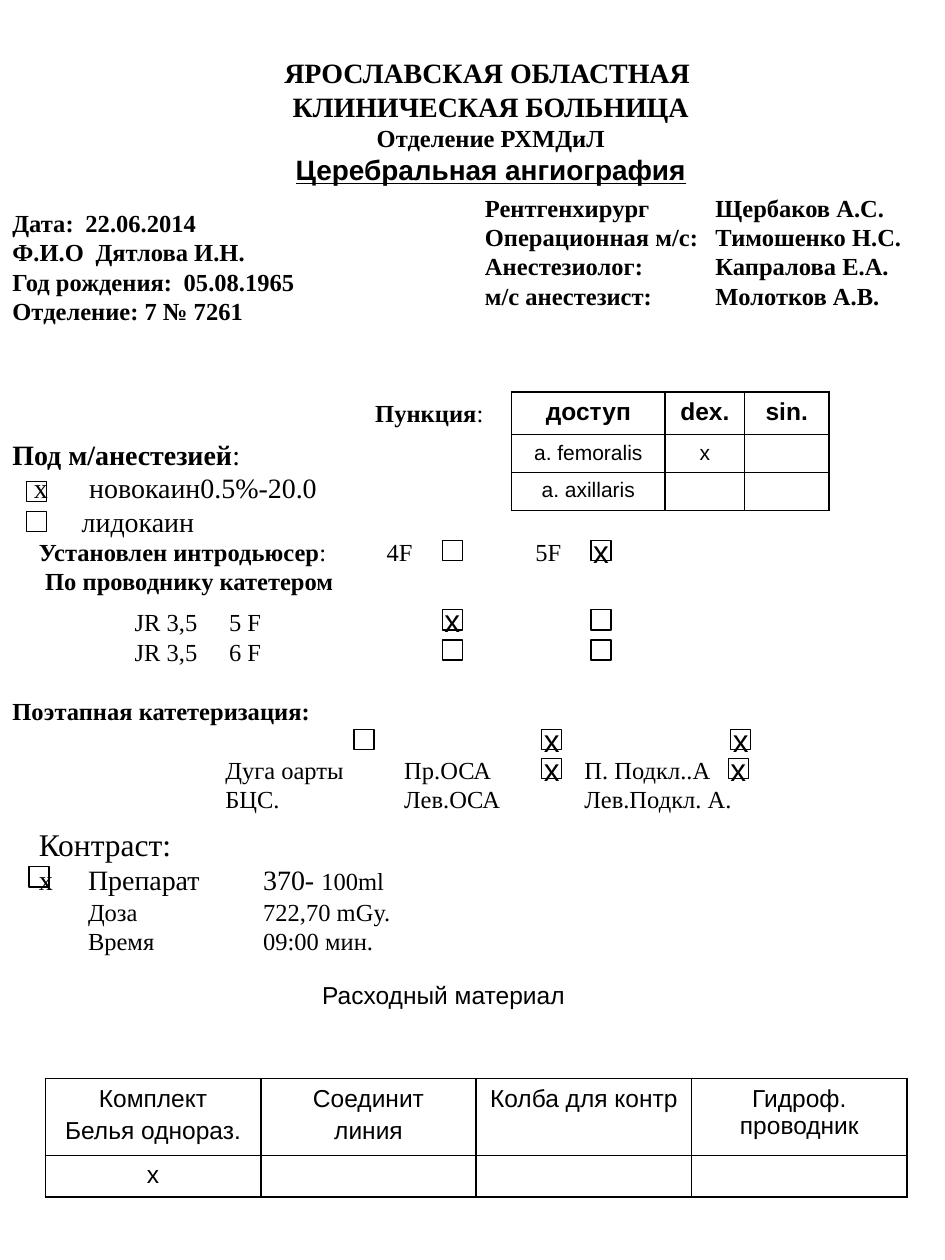
from lxml import etree
from pptx import Presentation
from pptx import util as u
from pptx.dml import color
from pptx.enum import shapes, text
from pptx.oxml import ns

Inches, Pt = u.Inches, u.Pt
COLORS = {"ink": "000000"}
INK = color.RGBColor.from_string(COLORS["ink"])
SERIF, SANS = "Times New Roman", "Arial"


def write(paragraph, content, size, bold=False, face=SERIF, tabs=(), align=None):
    if align is not None:
        paragraph.alignment = align
    if tabs:
        tab_list = etree.SubElement(paragraph._p.get_or_add_pPr(), ns.qn("a:tabLst"))
        for stop in tabs:
            etree.SubElement(tab_list, ns.qn("a:tab"), pos=str(Inches(stop)), algn="l")
    font = paragraph.font
    font.size, font.bold, font.name = Pt(size), bold, face
    font.color.rgb = INK
    spans = [content] if isinstance(content, str) else content
    for item in spans:
        words, changes = (item, {}) if isinstance(item, str) else item
        span = paragraph.add_run()
        span.text = words
        for name, value in changes.items():
            setattr(span.font, name, value)


def fill_box(box, lines, top=0.05, bottom=0.05, anchor=text.MSO_ANCHOR.TOP):
    frame = box.text_frame
    frame.word_wrap = True
    frame.auto_size = text.MSO_AUTO_SIZE.NONE
    frame.vertical_anchor = anchor
    frame.margin_left = frame.margin_right = Inches(0.1)
    frame.margin_top, frame.margin_bottom = Inches(top), Inches(bottom)
    for index, (content, size, options) in enumerate(lines):
        para = frame.add_paragraph() if index else frame.paragraphs[0]
        options = dict(options)
        before = options.pop("before", 0)
        write(para, content, size, **options)
        para.space_before = Pt(before)


deck = Presentation()
deck.slide_width, deck.slide_height = Inches(7.5), Inches(10)
page = deck.slides.add_slide(deck.slide_layouts[5])

CENTER = text.PP_ALIGN.CENTER
MIDDLE = text.MSO_ANCHOR.MIDDLE
heading = page.shapes.title
heading.left, heading.top = Inches(0.52), Inches(0.35)
heading.width, heading.height = Inches(6.75), Inches(1.48)
centered = {"bold": True, "align": CENTER}
fill_box(heading, [
    ("ЯРОСЛАВСКАЯ ОБЛАСТНАЯ ", 16, centered),
    ("КЛИНИЧЕСКАЯ БОЛЬНИЦА", 16, centered),
    ("Отделение РХМДиЛ", 14, centered),
    ([("Церебральная ангиография", {"underline": True})], 16, {**centered, "face": SANS}),
], bottom=0.31, anchor=MIDDLE)

plain = {"bold": False}
strong = {"bold": True}
staff = {"bold": True, "tabs": [1.83]}
catheter = {"tabs": [0.97, 1.72]}
vessels = {"tabs": [1.69, 3.11, 4.54]}
dose = {"tabs": [0.39, 1.78]}
sections = [
    ((0, 2.95, 3.42, 2.05), 0.52, [
        (["Под м/анестезией", (":", plain)], 16, strong),
        ("\tх\tновокаин0.5%-20.0", 16, {"tabs": [0.17, 0.61]}),
        ("\tлидокаин", 16, {"tabs": [0.55]}),
    ]),
    ((2.88, 3.11, 1.1, 0.33), 0.05, [
        (["Пункция", (":", plain)], 14, strong),
    ]),
    ((0.21, 4.21, 6.32, 0.57), 0.05, [
        (["Установлен интродьюсер", (":\t4F\t5F", plain)], 14,
         {"bold": True, "tabs": [2.76, 3.94]}),
        ("\tПо проводнику катетером", 14, {"bold": True, "tabs": [0.05]}),
    ]),
    ((0.21, 6.5, 3.72, 1.62), 0.05, [
        ("Контраст:", 18, {}),
        ([("х\tПрепарат\t370- ", {"size": Pt(16)}), "100ml"], 14, dose),
        ("\tДоза\t722,70 mGy.", 14, dose),
        ("\tВремя\t09:00 мин.", 14, dose),
    ]),
    ((-0.23, 7.73, 7.5, 1.03), 0.05, [
        ("Расходный материал", 14, {"face": SANS, "align": CENTER}),
    ]),
    ((0, 4.77, 7.5, 2.22), 0.05, [
        ("\tJR 3,5\t5 F", 14, catheter),
        ("\tJR 3,5\t6 F", 14, catheter),
        ("Поэтапная катетеризация:", 14, {"bold": True, "before": 17}),
        ("\tДуга оарты\tПр.ОСА\tП. Подкл..А", 14, {**vessels, "before": 17}),
        ("\tБЦС.\tЛев.ОСА\tЛев.Подкл. А.", 14, vessels),
    ]),
    ((3.75, 1.48, 3.75, 1.04), 0.05, [
        ("Рентгенхирург\tЩербаков А.С.", 14, staff),
        ("Операционная м/с:\tТимошенко Н.С.", 14, staff),
        ("Анестезиолог:\tКапралова Е.А.", 14, staff),
        ("м/с анестезист:\tМолотков А.В.", 14, staff),
    ]),
    ((0, 1.6, 2.89, 1.02), 0.05, [
        ("Дата:\t22.06.2014", 14, {"bold": True, "tabs": [0.58]}),
        ("Ф.И.О\tДятлова И.Н.", 14, {"bold": True, "tabs": [0.66]}),
        ("Год рождения:\t05.08.1965", 14, {"bold": True, "tabs": [1.36]}),
        ("Отделение: 7 № 7261", 14, strong),
    ]),
]
for place, top, lines in sections:
    box = page.shapes.add_textbox(*map(Inches, place))
    fill_box(box, lines, top=top)

checkboxes = [
    (0.21, 3.82, ""), (0.21, 4.06, ""),
    (3.51, 4.29, ""), (4.69, 4.29, "х"),
    (3.51, 4.84, "х"), (4.69, 4.84, ""),
    (3.51, 5.08, ""), (4.69, 5.08, ""),
    (2.81, 5.79, ""), (4.3, 5.79, "х"), (5.8, 5.79, "х"),
    (4.3, 6.02, "х"), (5.78, 6.02, "х"),
    (0.23, 6.88, ""),
]
for left, top, mark in checkboxes:
    checkbox = page.shapes.add_shape(
        shapes.MSO_SHAPE.RECTANGLE, Inches(left), Inches(top), Inches(0.16), Inches(0.16))
    checkbox.shadow.inherit = False
    checkbox.fill.background()
    checkbox.line.color.rgb = INK
    checkbox.line.width = Pt(0.75)
    if mark:
        frame = checkbox.text_frame
        frame.word_wrap = False
        frame.vertical_anchor = MIDDLE
        write(frame.paragraphs[0], mark, 18, face=SANS, align=CENTER)

tables = [
    ((4.06, 3.11), [1.22, 0.63, 0.67], [0.34, 0.3, 0.3],
     [["доступ", "dex.", "sin."], ["a. femoralis", "х", ""], ["a. axillaris", "", ""]],
     [(14, True), (12, False), (12, False)]),
    ((0.36, 8.56), [1.71] * 4, [0.61, 0.33],
     [["Комплект\nБелья однораз.", "Соединит\nлиния", "Колба для контр", "Гидроф. проводник"],
      ["х", "", "", ""]],
     [(14, False), (14, False)]),
]
for (left, top), widths, heights, rows, styles in tables:
    holder = page.shapes.add_table(
        len(rows), len(widths), Inches(left), Inches(top),
        Inches(sum(widths)), Inches(sum(heights)))
    grid = holder.table
    grid.first_row = grid.horz_banding = False
    for column, width in zip(grid.columns, widths):
        column.width = Inches(width)
    for row, height, values, (size, bold) in zip(grid.rows, heights, rows, styles):
        row.height = Inches(height)
        for cell, value in zip(row.cells, values):
            cell.fill.background()
            cell.margin_top = Inches(0.05 if value else 0)
            cell.margin_bottom = 0
            for index, words in enumerate(value.split("\n")):
                para = cell.text_frame.add_paragraph() if index else cell.text_frame.paragraphs[0]
                write(para, words if words else [], size, bold, SANS, align=CENTER)
                para.space_before = Pt(2.8 if index else 0)
            for index, side in enumerate(["lnL", "lnR", "lnT", "lnB"]):
                border = etree.Element(ns.qn("a:" + side), w=str(Pt(1)))
                solid = etree.SubElement(border, ns.qn("a:solidFill"))
                etree.SubElement(solid, ns.qn("a:srgbClr"), val=COLORS["ink"])
                cell._tc.get_or_add_tcPr().insert(index, border)

deck.save("out.pptx")
